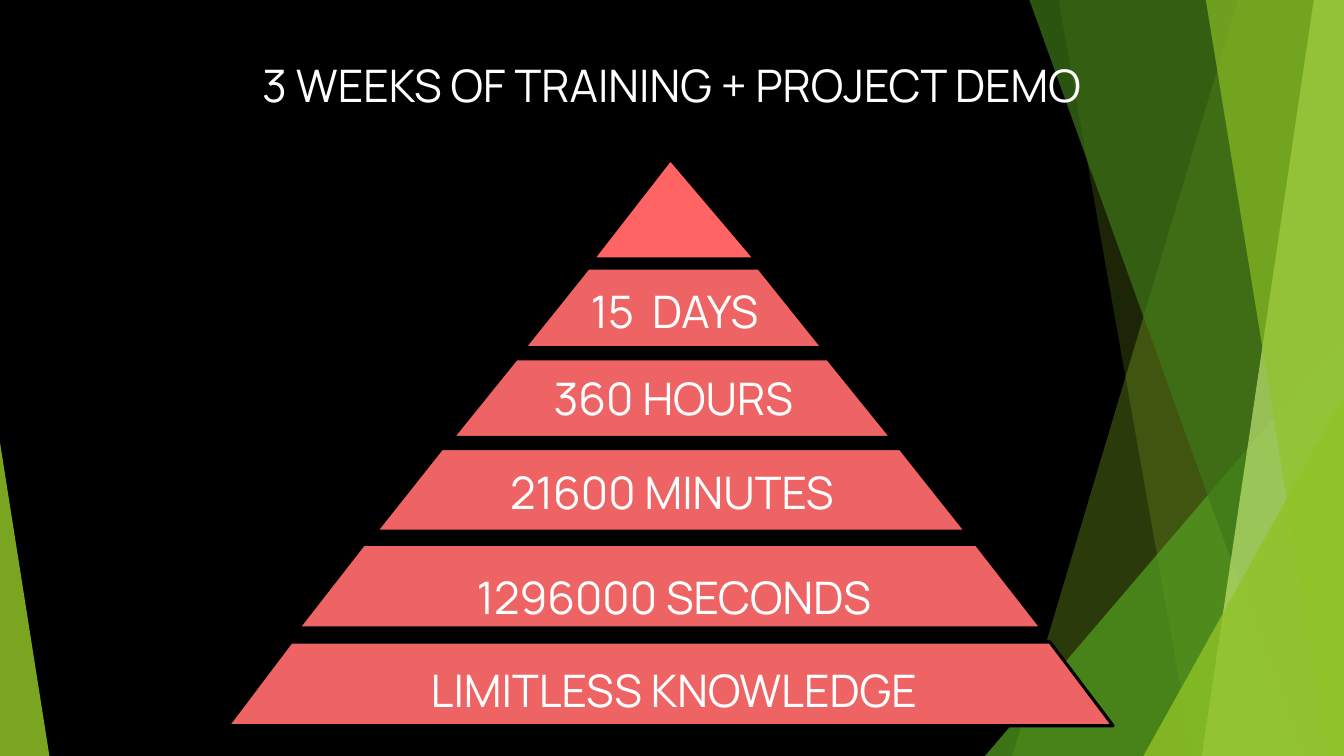
from pptx import Presentation
from pptx.dml.color import RGBColor
from pptx.enum.shapes import MSO_SHAPE as SHAPE
from pptx.enum.text import MSO_ANCHOR as ANCHOR, PP_ALIGN as ALIGN
from pptx.oxml.ns import qn
from pptx.util import Inches, Pt
from lxml import etree

W, H = 13.33, 7.5

# Green shards from back to front: (corners, colour, opacity %)
BACK_SHARDS = [
    ([(12.28, 0), (W, 0), (W, H), (10.04, H)], "90C226", 30),
    ([(10.5, 0), (W, 0), (W, H), (11.83, H)], "90C226", 20),
]
FRONT_SHARDS = [
    ([(10.21, 0), (W, 0), (W, H), (12.91, H)], "3F7819", 70),
    ([(13.03, 0), (W, 0), (W, H), (11.92, H)], "C0E474", 70),
    ([(11.96, 0), (W, 0), (W, H), (13.18, H)], "90C226", 65),
]

# Pyramid bands: (left, top, width, height), slant
BANDS = [
    ((5.2, 2.66, 2.96, 0.79), 0.801),
    ((4.49, 3.56, 4.35, 0.78), 0.808),
    ((3.73, 4.45, 5.85, 0.82), 0.794),
    ((2.96, 5.4, 7.37, 0.83), 0.779),
    ((2.26, 6.37, 8.78, 0.83), 0.755),
]
SMALL_LABELS = [
    ("15  DAYS", (5.48, 2.77, 2.42, 0.64)),
    ("360 HOURS", (5.2, 3.63, 2.96, 0.64)),
    ("21600 MINUTES", (4.49, 4.56, 4.35, 0.64)),
]
WIDE_LABELS = [
    ("1296000 SECONDS", (1.79, 5.2, 9.79, 1.38)),
    ("LIMITLESS KNOWLEDGE", (1.79, 6.12, 9.79, 1.38)),
]


def rgb(color):
    return RGBColor.from_string(color)


def paint(sp, color, opacity=100, outline=None):
    sp.shadow.inherit = False
    sp.fill.solid()
    sp.fill.fore_color.rgb = rgb(color)
    if opacity < 100:
        clr = sp.fill._xPr.find(qn("a:solidFill"))[0]
        etree.SubElement(clr, qn("a:alpha")).set("val", str(opacity * 1000))
    if outline:
        sp.line.color.rgb = rgb(outline)
        sp.line.width = Pt(2.25)
    else:
        sp.line.fill.background()


def add_shard(s, corners, color, opacity):
    points = [(Inches(x), Inches(y)) for x, y in corners]
    builder = s.shapes.build_freeform(*points[0])
    builder.add_line_segments(points[1:], close=True)
    paint(builder.convert_to_shape(), color, opacity)


def add_preset(s, kind, box, adj, color, opacity=100, outline=None):
    sp = s.shapes.add_shape(kind, *map(Inches, box))
    sp.adjustments[0] = adj
    paint(sp, color, opacity, outline)


def write(tf, text, spacing=None):
    tf.word_wrap = True
    p = tf.paragraphs[0]
    p.alignment = ALIGN.CENTER
    if spacing:
        p.line_spacing = spacing
    r = p.add_run()
    r.text = text
    r.font.name = "Manrope"
    r.font.size = Pt(32)
    r.font.color.rgb = rgb("FFFFFF")


def center_in_box(tf, bottom=0):
    tf.vertical_anchor = ANCHOR.MIDDLE
    tf.margin_left = tf.margin_right = tf.margin_top = 0
    tf.margin_bottom = Inches(bottom)


def add_label(s, text, box, centered=False):
    tf = s.shapes.add_textbox(*map(Inches, box)).text_frame
    if centered:
        center_in_box(tf)
    write(tf, text, 1.1 if centered else None)


def add_backdrop(s):
    for shard in BACK_SHARDS:
        add_shard(s, *shard)
    add_preset(s, SHAPE.ISOSCELES_TRIANGLE, (9.77, 3.33, 3.56, 4.17), 1, "54A021", 72)
    for shard in FRONT_SHARDS:
        add_shard(s, *shard)
    add_preset(s, SHAPE.ISOSCELES_TRIANGLE, (11.34, 3.93, 1.99, 3.57), 1, "90C226", 80)
    add_preset(s, SHAPE.ISOSCELES_TRIANGLE, (0, 4.39, 0.49, 3.11), 0, "90C226", 85)


def set_title(s, text):
    title = s.shapes.title
    title.left, title.top, title.width, title.height = map(Inches, (0, 0.24, W, 1.68))
    center_in_box(title.text_frame, bottom=0.54)
    write(title.text_frame, text, 1.1)
    # Bring the title in front of the backdrop
    title.element.getparent().append(title.element)


def main():
    prs = Presentation()
    prs.slide_width, prs.slide_height = Inches(W), Inches(H)
    s = prs.slides.add_slide(prs.slide_layouts[5])
    s.background.fill.solid()
    s.background.fill.fore_color.rgb = rgb("000000")

    add_backdrop(s)
    set_title(s, "3 WEEKS OF TRAINING + PROJECT DEMO")

    # Pyramid
    add_preset(s, SHAPE.ISOSCELES_TRIANGLE, (5.88, 1.58, 1.61, 0.99), 0.478,
               "FF6464", outline="000000")
    for box, slant in BANDS:
        add_preset(s, SHAPE.TRAPEZOID, box, slant, "EE6464", outline="000000")

    # Labels
    for text, box in SMALL_LABELS:
        add_label(s, text, box)
    for text, box in WIDE_LABELS:
        add_label(s, text, box, centered=True)

    prs.save("out.pptx")


if __name__ == "__main__":
    main()
